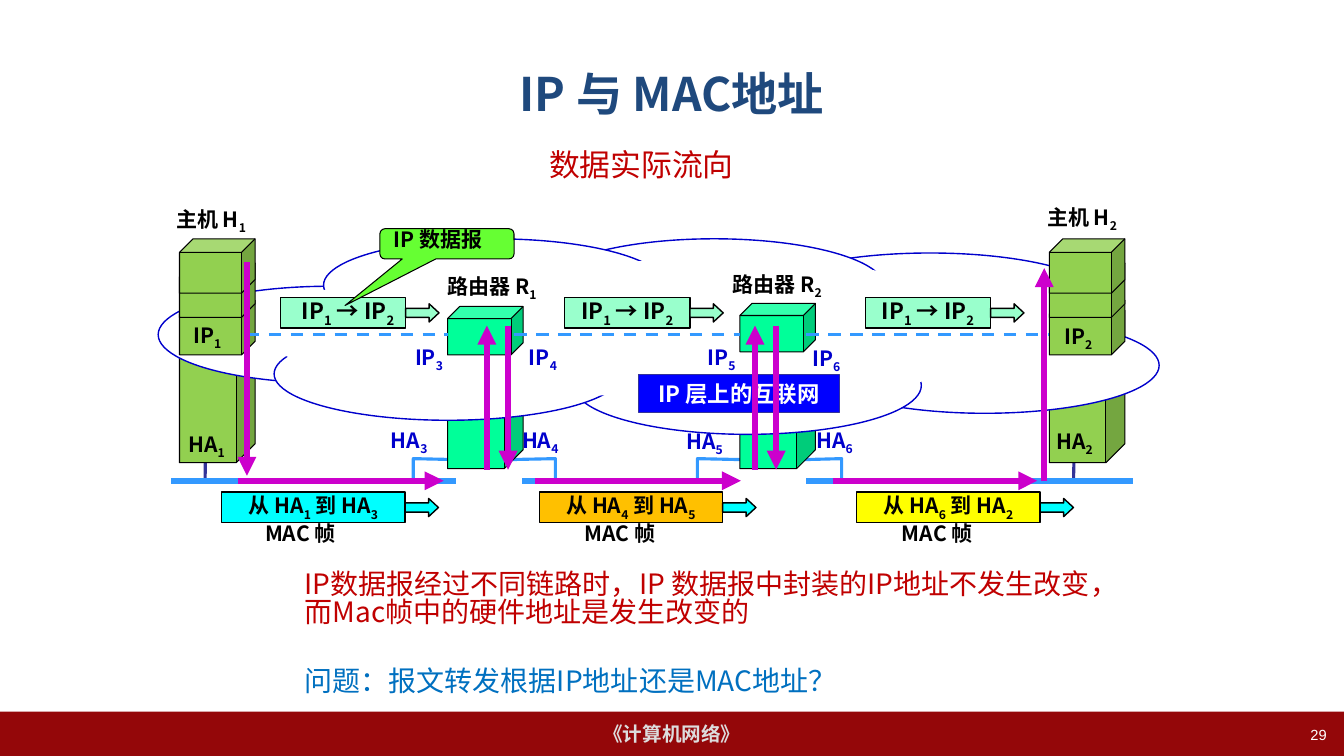
from pptx import Presentation
from pptx.util import Pt
from pptx.dml.color import RGBColor
from pptx.enum.shapes import MSO_SHAPE, MSO_CONNECTOR
from pptx.enum.text import PP_ALIGN, MSO_ANCHOR
from pptx.enum.dml import MSO_LINE
from pptx.oxml.ns import qn
from lxml import etree

RECT, CUBE, OVAL = MSO_SHAPE.RECTANGLE, MSO_SHAPE.CUBE, MSO_SHAPE.OVAL
ARROW, CALL = MSO_SHAPE.RIGHT_ARROW, MSO_SHAPE.ROUNDED_RECTANGULAR_CALLOUT
LEFT, MID, RIGHT = PP_ALIGN.LEFT, PP_ALIGN.CENTER, PP_ALIGN.RIGHT
FONT = "Noto Sans CJK SC"
BLACK, WHITE, BLUE, SKY = "000000", "FFFFFF", "0000CC", "3399FF"
LIME, MINT, PALE, PINK, NAVY = "92D050", "00FF99", "99FFCC", "CC00CC", "333399"
RED, CYAN = "C00000", "00FFFF"

# Content: "_" lowers the character after it
WIRE, LEVEL = 343.4, 239   # heights of the links and of the IP layer
DEEP = 54                  # width of every cube
HOSTS = [128.2, 749.5]
ROUTERS = [(319.7, 226.1, 218.9), (528.5, 239, 216.7)]  # left, body top, cap top
STACK = [214.6, 187.9, 170.6]
STUBS = [(146.5, 146.9), (766.8, 767.5)]
CLOUDS = [(578.9, 226.8, 249.1, 68.4), (113, 204.5, 244.1, 69.1),
          (540, 180.7, 248.4, 66.2), (409.7, 240.5, 248.4, 69.8),
          (195.8, 234, 248.4, 66.2), (388.1, 170.6, 244.1, 69.1),
          (231.1, 170.6, 244.1, 66.2)]
BLANK = (178.6, 186.5, 592.6, 96.5)
BENDS = [(295.2, 326), (498.2, 529.2), (601.2, 574.6), (396.7, 363.6)]
LINKS = [(122.4, 325.4), (373, 522.7), (576, 809.3)]
DASHES = [(176.4, 319.7), (367.2, 528.5), (576, 749.5)]
LABELS = [
    ("IP_1", 131, 228.2, 38.9, BLACK), ("IP_2", 753.1, 229, 38.9, BLACK),
    ("IP_3", 289.4, 244.1, 38.9, BLUE), ("IP_4", 370.8, 244.1, 38.9, BLUE),
    ("IP_5", 498.2, 244.1, 38.9, BLUE), ("IP_6", 573.1, 244.8, 38.9, BLUE),
    ("HA_1", 127.4, 306, 48.2, BLACK), ("HA_2", 747.4, 303.8, 48.2, BLACK),
    ("HA_3", 272.2, 303.1, 48.2, BLUE), ("HA_4", 365.8, 303.1, 48.2, BLUE),
    ("HA_5", 483.1, 303.8, 48.2, BLUE), ("HA_6", 576, 303.1, 48.2, BLUE),
    ("主机 H_1", 118.8, 145.4, 74.2, BLACK), ("主机 H_2", 740.9, 144, 74.2, BLACK),
    ("路由器 R_1", 312.5, 193, 88.6, BLACK), ("路由器 R_2", 516.2, 191.5, 88.6, BLACK),
    ("MAC 帧", 182.2, 371.5, 77.8, BLACK), ("MAC 帧", 410.4, 371.5, 77.8, BLACK),
    ("MAC 帧", 637.2, 371.5, 77.8, BLACK)]
PACKETS = [("  IP_1 → IP_2", 200.2), ("IP_1 → IP_2", 403.2), ("IP_1 → IP_2", 618)]
FRAMES = [("从 HA_1 到 HA_3", 158.4, CYAN), ("从 HA_4 到 HA_5", 385.2, "FFC000"),
          ("从 HA_6 到 HA_2", 612, "FFFF00")]
FLOWS = [(176.4, 187.2, 176.4, 339.8), (169.9, WIRE, 316.8, WIRE),
         (347.8, 335.5, 347.8, 232.6), (362.9, 232.6, 362.9, 335.5),
         (382.3, WIRE, 529.2, WIRE), (539.3, 335.5, 539.3, 232.6),
         (554.4, 232.6, 554.4, 335.5), (594.7, WIRE, 740.9, WIRE),
         (745.9, WIRE, 745.9, 191.5)]
NOTES = [("IP数据报经过不同链路时，IP 数据报中封装的IP地址不发生改变，"
          "而Mac帧中的硬件地址是发生改变的", 403.9, 58.3, RED),
         ("问题：报文转发根据IP地址还是MAC地址？", 473, 33.8, "0070C0")]

deck = Presentation()
deck.slide_width, deck.slide_height = Pt(960), Pt(540)
slide = deck.slides.add_slide(deck.slide_layouts[6])
shapes = slide.shapes


def paint(color):
    return RGBColor.from_string(color)


def write(item, text, size, color, bold=True, align=LEFT, anchor=MSO_ANCHOR.TOP,
          wrap=False, font=FONT, tight=1.0):
    frame = item.text_frame
    frame.word_wrap, frame.vertical_anchor = wrap, anchor
    para = frame.paragraphs[0]
    para.alignment, para.line_spacing = align, tight
    first, *rest = text.split("_")
    parts = [(first, False)]
    for part in rest:
        parts += [(part[0], True), (part[1:], False)]
    for words, low in parts:
        if not words:
            continue
        run = para.add_run()
        run.text = words
        run.font.size, run.font.bold, run.font.name = Pt(size), bold, font
        run.font.color.rgb = paint(color)
        props = run._r.get_or_add_rPr()
        etree.SubElement(props, qn("a:ea")).set("typeface", FONT)
        if low:
            props.set("baseline", "-25000")


def label(text, x, y, w, h, size, color, **style):
    box = shapes.add_textbox(Pt(x), Pt(y), Pt(w), Pt(h))
    write(box, text, size, color, **style)
    return box


def finish(item, fill, edge, width):
    item.shadow.inherit = False
    if fill:
        item.fill.solid()
        item.fill.fore_color.rgb = paint(fill)
    else:
        item.fill.background()
    if edge:
        item.line.color.rgb = paint(edge)
        item.line.width = Pt(width)
    else:
        item.line.fill.background()


def draw(kind, x, y, w, h, fill, edge=BLACK, width=0.75):
    item = shapes.add_shape(kind, Pt(x), Pt(y), Pt(w), Pt(h))
    finish(item, fill, edge, width)
    return item


def line(x1, y1, x2, y2, color, width, dash=False, head=False):
    link = shapes.add_connector(MSO_CONNECTOR.STRAIGHT, Pt(x1), Pt(y1), Pt(x2), Pt(y2))
    link.line.color.rgb, link.line.width = paint(color), Pt(width)
    if dash:
        link.line.dash_style = MSO_LINE.DASH
    if head:
        etree.SubElement(link.line._get_or_add_ln(), qn("a:tailEnd")).set("type", "triangle")
    etree.SubElement(link._element.spPr, qn("a:effectLst"))


def packet(text, x, y, w, size, fill, tip):
    box = draw(RECT, x, y, w, 21.8, fill, width=1)
    write(box, text, size, BLACK, align=MID, anchor=MSO_ANCHOR.MIDDLE)
    arrow = draw(ARROW, x + w, y + 4.6, 23.8, 13, tip, width=1)
    arrow.adjustments[1] = 0.54


# Footer and headings
bar = draw(RECT, 0, 508.3, 960, 31.7, "940709", None)
write(bar, "《计算机网络》", 14, "DDDDDD", align=MID, anchor=MSO_ANCHOR.MIDDLE, font="Arial")
label("29", 730.8, 514.8, 223.9, 25.2, 10.5, WHITE, bold=False, align=RIGHT,
      wrap=True, font="Arial")
label("IP 与 MAC地址", 48, 21.6, 864, 90, 33, "1F497D", align=MID,
      anchor=MSO_ANCHOR.MIDDLE, wrap=True)
label("数据实际流向", 385.2, 105.1, 149.8, 33.8, 22, RED, bold=False, wrap=True, tight=0.83)

# Drops to the links and lower bodies
for start, end in BENDS:
    path = shapes.build_freeform(Pt(start), Pt(WIRE))
    path.add_line_segments([(Pt(start), Pt(327.6)), (Pt(end), Pt(328.3))], close=False)
    finish(path.convert_to_shape(), None, SKY, 2.25)
for low, high in STUBS:
    line(low, WIRE, high, 313.2, NAVY, 2.25)
for x in HOSTS:
    draw(CUBE, x, 221.8, DEEP, 108.7, LIME)
for x, top, cap in ROUTERS:
    draw(CUBE, x, top, DEEP, 334.8 - top, MINT)

# Cloud
for spot in CLOUDS:
    draw(OVAL, *spot, WHITE, BLUE, 1)
draw(OVAL, *BLANK, WHITE, None)

# Links, upper bodies and the IP layer
for x1, x2 in LINKS:
    line(x1, WIRE, x2, WIRE, SKY, 4.5)
for x in HOSTS:
    for top in STACK:
        draw(CUBE, x, top, DEEP, 38.9, LIME)
for x, top, cap in ROUTERS:
    draw(CUBE, x, cap, DEEP, 34.6, MINT)
for x1, x2 in DASHES:
    line(x1, LEVEL, x2, LEVEL, SKY, 2.25, dash=True)
net = draw(RECT, 455.8, 267.8, 144, 26.6, "0000FF", NAVY)
write(net, "IP 层上的互联网", 16, WHITE, align=MID, anchor=MSO_ANCHOR.MIDDLE)

# Labels, packets and frames
for text, x, y, w, color in LABELS:
    label(text, x, y, w, 25.2, 15, color, tight=0.83)
for text, x in PACKETS:
    packet(text, x, 212.4, 89.6, 16, PALE, PALE)
for text, x, fill in FRAMES:
    packet(text, x, 351.4, 131, 15, fill, CYAN)

# Callout
call = draw(CALL, 271.4, 163.4, 95.8, 21.6, "66FF33")
call.adjustments[0], call.adjustments[1] = -0.76, 2.04
label("IP 数据报", 274.3, 161.3, 86.4, 25.2, 15, BLACK, tight=0.83)

# Real path of the data
for flow in FLOWS:
    line(*flow, PINK, 4.5, head=True)

# Remarks
for text, y, h, color in NOTES:
    note = draw(RECT, 208.1, y, 593.3, h, WHITE, None)
    write(note, text, 20, color, bold=False, wrap=True, tight=0.83)
    frame = note.text_frame
    frame.margin_left = frame.margin_right = Pt(9.4)
    frame.margin_top = frame.margin_bottom = Pt(5)

deck.save("out.pptx")
